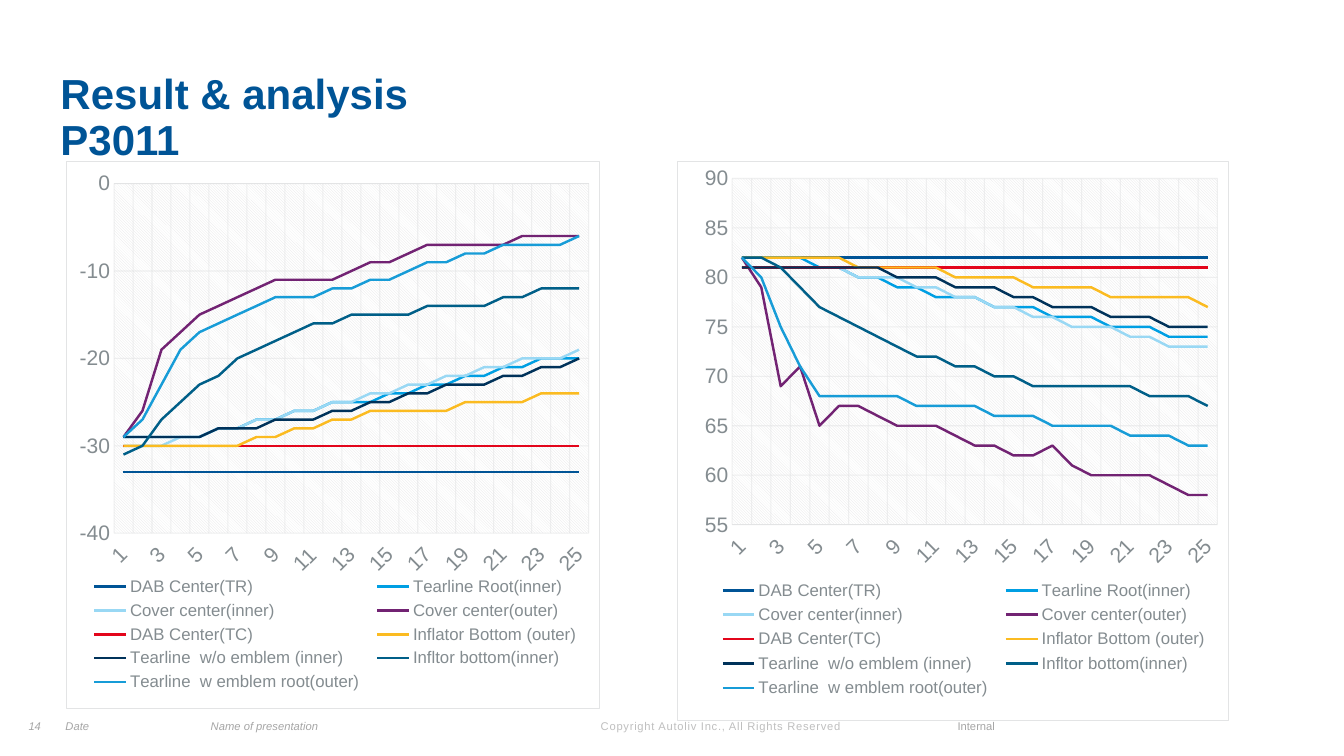
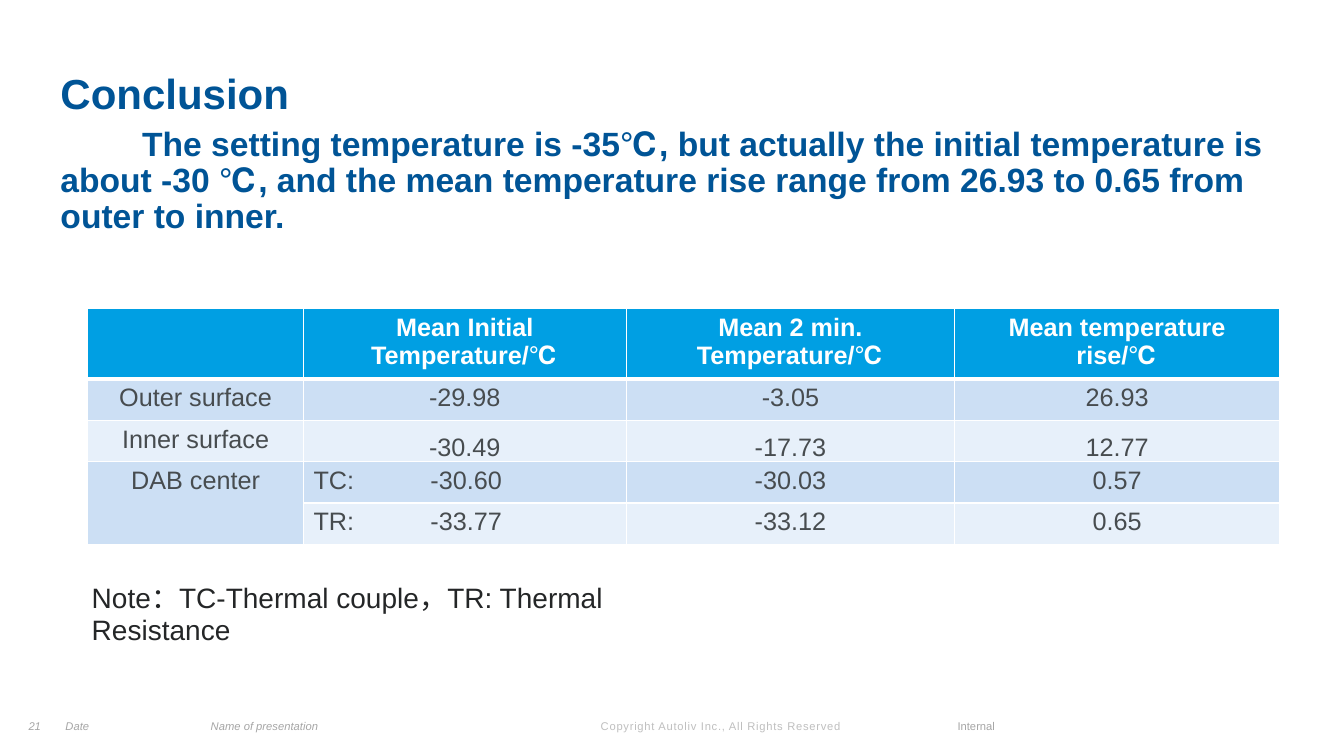
from pptx import Presentation
from pptx.chart.data import CategoryChartData
from pptx.dml.color import RGBColor
from pptx.enum.chart import (XL_CHART_TYPE, XL_LEGEND_POSITION,
                             XL_TICK_LABEL_POSITION, XL_TICK_MARK)
from pptx.enum.shapes import MSO_SHAPE
from pptx.enum.text import MSO_ANCHOR, PP_ALIGN
from pptx.oxml import parse_xml
from pptx.oxml.ns import nsdecls, qn
from pptx.oxml.xmlchemy import OxmlElement
from pptx.util import Pt

SCALE = 9144  # EMU per px, 100 px to the inch
FONT = "Arial"
WHITE = RGBColor(0xFF, 0xFF, 0xFF)
NAVY = RGBColor(0x00, 0x54, 0x96)
SKY = RGBColor(0x00, 0x9F, 0xE3)
INK = RGBColor(0x24, 0x26, 0x27)
SLATE = RGBColor(0x47, 0x4C, 0x4F)
AXIS_GRAY = RGBColor(0x84, 0x8C, 0x90)
FOOTER_GRAY = RGBColor(0xA6, 0xA6, 0xA6)
COPYRIGHT_GRAY = RGBColor(0xBF, 0xBF, 0xBF)
RULE_GRAY = RGBColor(0xE3, 0xE4, 0xE5)
BAND_DARK = RGBColor(0xCC, 0xDF, 0xF4)
BAND_LIGHT = RGBColor(0xE7, 0xF0, 0xFA)

SENSORS = [
    ("DAB Center(TR)", NAVY),
    ("Tearline Root(inner)", SKY),
    ("Cover center(inner)", RGBColor(0x99, 0xD8, 0xF4)),
    ("Cover center(outer)", RGBColor(0x72, 0x23, 0x73)),
    ("DAB Center(TC)", RGBColor(0xE3, 0x05, 0x1B)),
    ("Inflator Bottom (outer)", RGBColor(0xFB, 0xBB, 0x21)),
    ("Tearline  w/o emblem (inner)", RGBColor(0x00, 0x32, 0x5A)),
    ("Infltor bottom(inner)", RGBColor(0x00, 0x5F, 0x88)),
    ("Tearline  w emblem root(outer)", RGBColor(0x17, 0x9C, 0xD7)),
]
COLD_READINGS = [
    [-33] * 25,
    [-29, -29, -29, -29, -29, -28, -28, -27, -27, -26, -26, -25, -25,
     -25, -24, -24, -23, -23, -22, -22, -21, -21, -20, -20, -20],
    [-30, -30, -30, -29, -29, -28, -28, -27, -27, -26, -26, -25, -25,
     -24, -24, -23, -23, -22, -22, -21, -21, -20, -20, -20, -19],
    [-29, -26, -19, -17, -15, -14, -13, -12, -11, -11, -11, -11, -10,
     -9, -9, -8, -7, -7, -7, -7, -7, -6, -6, -6, -6],
    [-30] * 25,
    [-30, -30, -30, -30, -30, -30, -30, -29, -29, -28, -28, -27, -27,
     -26, -26, -26, -26, -26, -25, -25, -25, -25, -24, -24, -24],
    [-29, -29, -29, -29, -29, -28, -28, -28, -27, -27, -27, -26, -26,
     -25, -25, -24, -24, -23, -23, -23, -22, -22, -21, -21, -20],
    [-31, -30, -27, -25, -23, -22, -20, -19, -18, -17, -16, -16, -15,
     -15, -15, -15, -14, -14, -14, -14, -13, -13, -12, -12, -12],
    [-29, -27, -23, -19, -17, -16, -15, -14, -13, -13, -13, -12, -12,
     -11, -11, -10, -9, -9, -8, -8, -7, -7, -7, -7, -6],
]
HOT_READINGS = [
    [82] * 25,
    [82, 82, 82, 82, 81, 81, 80, 80, 79, 79, 78, 78, 78,
     77, 77, 77, 76, 76, 76, 75, 75, 75, 74, 74, 74],
    [81, 81, 81, 81, 81, 81, 80, 80, 80, 79, 79, 78, 78,
     77, 77, 76, 76, 75, 75, 75, 74, 74, 73, 73, 73],
    [82, 79, 69, 71, 65, 67, 67, 66, 65, 65, 65, 64, 63,
     63, 62, 62, 63, 61, 60, 60, 60, 60, 59, 58, 58],
    [81] * 25,
    [82, 82, 82, 82, 82, 82, 81, 81, 81, 81, 81, 80, 80,
     80, 80, 79, 79, 79, 79, 78, 78, 78, 78, 78, 77],
    [81, 81, 81, 81, 81, 81, 81, 81, 80, 80, 80, 79, 79,
     79, 78, 78, 77, 77, 77, 76, 76, 76, 75, 75, 75],
    [82, 82, 81, 79, 77, 76, 75, 74, 73, 72, 72, 71, 71,
     70, 70, 69, 69, 69, 69, 69, 69, 68, 68, 68, 67],
    [82, 80, 75, 71, 68, 68, 68, 68, 68, 67, 67, 67, 67,
     66, 66, 66, 65, 65, 65, 65, 64, 64, 64, 63, 63],
]
TEMPERATURES = [
    ["", "Mean Initial Temperature/℃", "Mean 2 min. Temperature/℃",
     "Mean temperature rise/℃"],
    ["Outer surface", "-29.98", "-3.05", "26.93"],
    ["Inner surface", "-30.49", "-17.73", "12.77"],
    ["DAB center", "TC:\t-30.60", "-30.03", "0.57"],
    ["", "TR:\t-33.77", "-33.12", "0.65"],
]


def px(*lengths):
    return [length * SCALE for length in lengths]


def style_font(font, size, color, bold=False, italic=False):
    font.name, font.size, font.bold, font.italic = FONT, Pt(size), bold, italic
    font.color.rgb = color


def add_alpha(element, percent):
    """Make the first plain colour below element partly transparent."""
    alpha = OxmlElement("a:alpha")
    alpha.set("val", str(percent * 1000))
    next(element.iter(qn("a:srgbClr"))).append(alpha)


def set_layout(parent, index, area, inner=False):
    """Place a plot or a legend by fractions of the chart."""
    for old in parent.findall(qn("c:layout")):
        parent.remove(old)
    tags = ["xMode", "yMode", *"xywh"]
    values = ["edge", "edge", *area]
    if inner:
        tags, values = ["layoutTarget", *tags], ["inner", *values]
    parts = "".join(f'<c:{tag} val="{value}"/>' for tag, value in zip(tags, values))
    parent.insert(index, parse_xml(
        f'<c:layout {nsdecls("c")}><c:manualLayout>{parts}</c:manualLayout></c:layout>'))


def area_format(fill, line):
    return parse_xml(f'<c:spPr {nsdecls("c", "a")}>{fill}{line}</c:spPr>')


def solid(color):
    return f'<a:solidFill><a:srgbClr val="{color}"/></a:solidFill>'


class Report:
    def __init__(self):
        self.deck = Presentation()
        self.deck.slide_width, self.deck.slide_height = px(1333, 750)
        self.page = None

    def add_page(self, number):
        self.page = self.deck.slides.add_slide(self.deck.slide_layouts[6])
        label = self.page.shapes.add_shape(MSO_SHAPE.RECTANGLE, *px(891, 703, 96, 24))
        label.shadow.inherit = False
        label.fill.solid()
        label.fill.fore_color.rgb = WHITE
        add_alpha(label._element.spPr, 50)
        label.line.fill.background()
        self.fill_frame(label.text_frame, "Internal", 8, FOOTER_GRAY,
                        align=PP_ALIGN.RIGHT, anchor=MSO_ANCHOR.BOTTOM)
        notice = self.text((586, 709, 272, 23),
                           "Copyright Autoliv Inc., All Rights Reserved", 8,
                           COPYRIGHT_GRAY, insets=(10, 5), anchor=MSO_ANCHOR.BOTTOM)
        notice.runs[0].font._element.set("spc", "50")
        for left, width, words, align in (
                (65, 134, "Date", PP_ALIGN.LEFT),
                (209, 354, "Name of presentation", PP_ALIGN.LEFT),
                (13, 43, str(number), PP_ALIGN.CENTER)):
            self.text((left, 703, width, 24), words, 8, FOOTER_GRAY, italic=True,
                      align=align, anchor=MSO_ANCHOR.BOTTOM)

    def fill_frame(self, frame, words, size, color, bold=False, italic=False,
                   align=PP_ALIGN.LEFT, anchor=MSO_ANCHOR.TOP, insets=(0, 0)):
        frame.word_wrap = True
        frame.vertical_anchor = anchor
        frame.margin_left, frame.margin_top = px(*insets)
        frame.margin_right, frame.margin_bottom = px(*insets)
        return self.add_span(frame.paragraphs[0], words, size, color, bold, italic, align)

    def add_span(self, para, words, size, color, bold=False, italic=False,
                 align=PP_ALIGN.LEFT):
        para.alignment = align
        span = para.add_run()
        span.text = words
        style_font(span.font, size, color, bold, italic)
        return para

    def text(self, area, words, size, color, **style):
        box = self.page.shapes.add_textbox(*px(*area))
        return self.fill_frame(box.text_frame, words, size, color, **style)

    def title(self, heading, second, size=30, indent=0, before=0):
        box = self.page.shapes.add_textbox(*px(60, 73, 1222, 122))
        first = self.fill_frame(box.text_frame, heading, 30, NAVY, bold=True)
        para = self.add_span(box.text_frame.add_paragraph(), second, size, NAVY, bold=True)
        first.line_spacing = para.line_spacing = 0.9
        para.space_before = Pt(before)
        para._p.get_or_add_pPr().set("indent", str(indent * SCALE))

    def line_chart(self, area, readings, low, high, step, plot_area, legend_area):
        data = CategoryChartData()
        data.categories = [str(number) for number in range(1, 26)]
        for (name, _), values in zip(SENSORS, readings):
            data.add_series(name, values)
        chart = self.page.shapes.add_chart(
            XL_CHART_TYPE.LINE, *px(*area), data).chart
        style_font(chart.font, 10, SLATE)
        chart.has_title = False
        plot = chart.plots[0]
        plot.vary_by_categories = False
        for series, (_, color) in zip(plot.series, SENSORS):
            series.smooth = False
            series.format.line.color.rgb = color
            series.format.line.width = Pt(1.75)

        for axis in (chart.category_axis, chart.value_axis):
            axis.major_tick_mark = axis.minor_tick_mark = XL_TICK_MARK.NONE
            style_font(axis.tick_labels.font, 15, AXIS_GRAY)
            axis.has_major_gridlines = True
            for line in (axis.major_gridlines.format.line, axis.format.line):
                line.color.rgb = RULE_GRAY
                line.width = Pt(0.75)
            add_alpha(axis._element.find(qn("c:majorGridlines")), 54)
        chart.value_axis.format.line.fill.background()
        chart.value_axis.minimum_scale = low
        chart.value_axis.maximum_scale = high
        chart.value_axis.major_unit = step
        chart.category_axis.tick_label_position = XL_TICK_LABEL_POSITION.LOW
        body = chart.category_axis._element.find(qn("c:txPr")).find(qn("a:bodyPr"))
        body.set("rot", "-2700000")
        body.set("vert", "horz")

        chart.has_legend = True
        chart.legend.position = XL_LEGEND_POSITION.BOTTOM
        chart.legend.include_in_layout = False
        style_font(chart.legend.font, 12, AXIS_GRAY)
        set_layout(chart.legend._element, 1, legend_area)

        root = chart._chartSpace
        plot_element = next(root.iter(qn("c:plotArea")))
        set_layout(plot_element, 0, plot_area, inner=True)
        hatch = (f'<a:pattFill prst="ltDnDiag"><a:fgClr><a:srgbClr val="{RULE_GRAY}"/>'
                 f'</a:fgClr><a:bgClr><a:srgbClr val="{WHITE}"/></a:bgClr></a:pattFill>')
        plot_element.append(area_format(hatch, "<a:ln><a:noFill/></a:ln>"))
        root.find(qn("c:chart")).addnext(area_format(
            solid(WHITE), f'<a:ln w="9525">{solid(RULE_GRAY)}</a:ln>'))

    def cell_borders(self, cell, below):
        for side, width in (("L", 1), ("R", 1), ("T", 1), ("B", below)):
            cell._tc.get_or_add_tcPr().append(parse_xml(
                f'<a:ln{side} {nsdecls("a")} w="{int(Pt(width))}">'
                f'{solid(WHITE)}</a:ln{side}>'))

    def table(self, left, top, widths, heights, rows):
        frame = self.page.shapes.add_table(
            len(rows), len(widths), *px(left, top, sum(widths), sum(heights)))
        table = frame.table
        for column, width in zip(table.columns, px(*widths)):
            column.width = width
        for row, height in zip(table.rows, px(*heights)):
            row.height = height
        for r, row in enumerate(rows):
            header = r == 0
            band = SKY if header else BAND_DARK if r % 2 else BAND_LIGHT
            for c, words in enumerate(row):
                cell = table.cell(r, c)
                self.cell_borders(cell, 3 if header else 1)
                cell.fill.solid()
                cell.fill.fore_color.rgb = band
                if not words:
                    continue
                tabbed = "\t" in words
                para = self.add_span(
                    cell.text_frame.paragraphs[0], words, 18,
                    WHITE if header else SLATE, bold=header,
                    align=PP_ALIGN.LEFT if tabbed else PP_ALIGN.CENTER)
                if tabbed:
                    para._p.get_or_add_pPr().append(parse_xml(
                        f'<a:tabLst {nsdecls("a")}>'
                        f'<a:tab pos="{116 * SCALE}" algn="l"/></a:tabLst>'))
        return table


def main():
    report = Report()
    report.add_page(14)
    report.title("Result & analysis", "P3011")
    report.line_chart((65, 160, 530, 543), COLD_READINGS, -40, 0, 10,
                      (0.09, 0.04, 0.89, 0.64), (0.03, 0.75, 0.95, 0.23))
    report.line_chart((671, 160, 548, 555), HOT_READINGS, 55, 90, 5,
                      (0.1, 0.03, 0.88, 0.62), (0.06, 0.74, 0.92, 0.23))

    report.add_page(21)
    report.title("Conclusion",
                 "The setting temperature is -35℃, but actually the initial "
                 "temperature is about -30 ℃, and the mean temperature rise range "
                 "from 26.93 to 0.65 from outer to inner.",
                 size=24, indent=81, before=6)
    table = report.table(87, 306, (214, 320, 326, 322), (66, 41, 41, 41, 41),
                         TEMPERATURES)
    table.cell(3, 0).merge(table.cell(4, 0))
    for column in range(1, 4):
        cell = table.cell(2, column)
        cell.vertical_anchor = MSO_ANCHOR.BOTTOM
        cell.margin_left, cell.margin_top, cell.margin_right = px(1, 1, 1)
        cell.margin_bottom = 0
    note = report.text((87, 590, 650, 40),
                       "Note：TC-Thermal couple，TR: Thermal Resistance",
                       20, INK, insets=(4, 4), anchor=MSO_ANCHOR.MIDDLE)
    note.line_spacing = 0.95
    report.deck.save("out.pptx")


if __name__ == "__main__":
    main()
